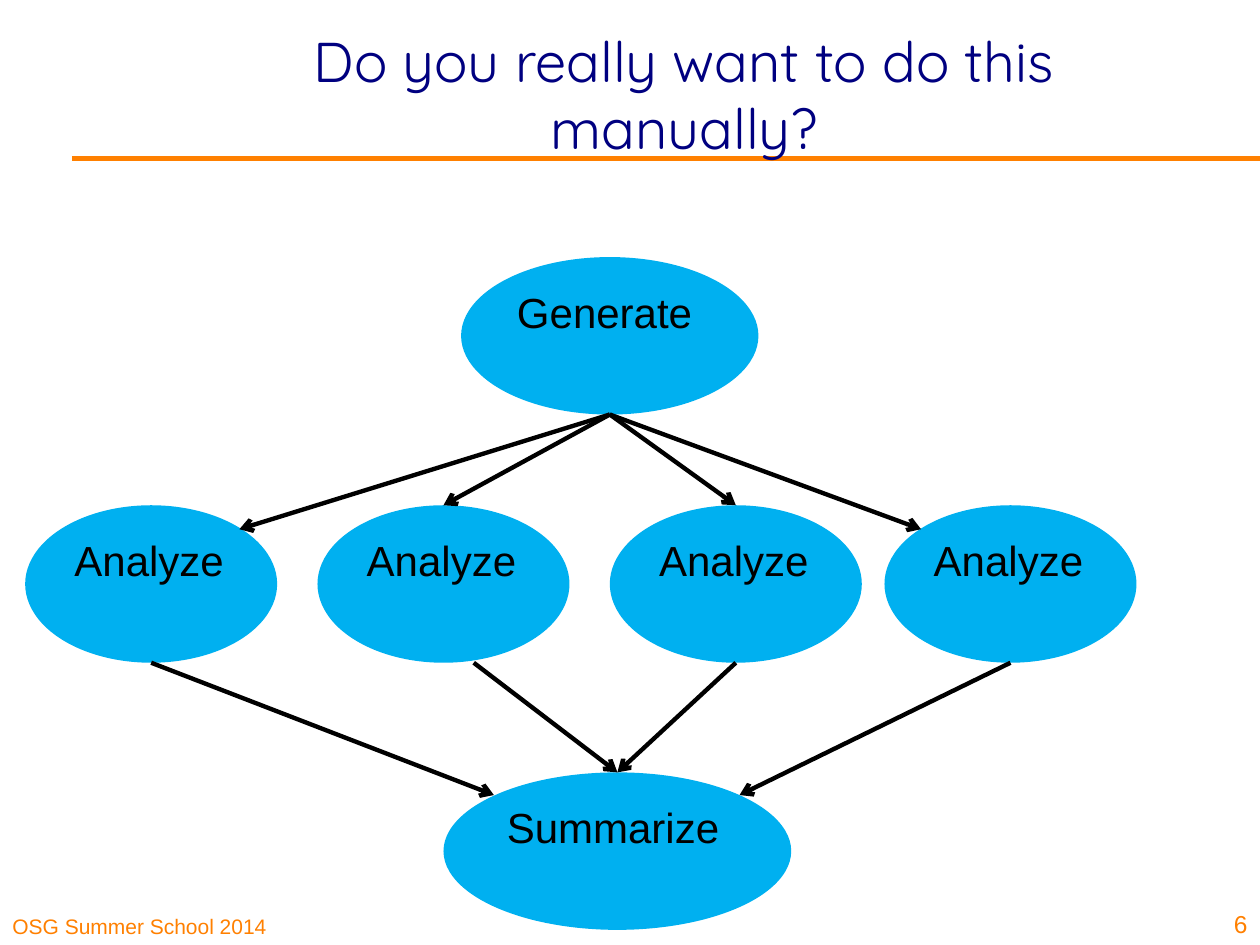
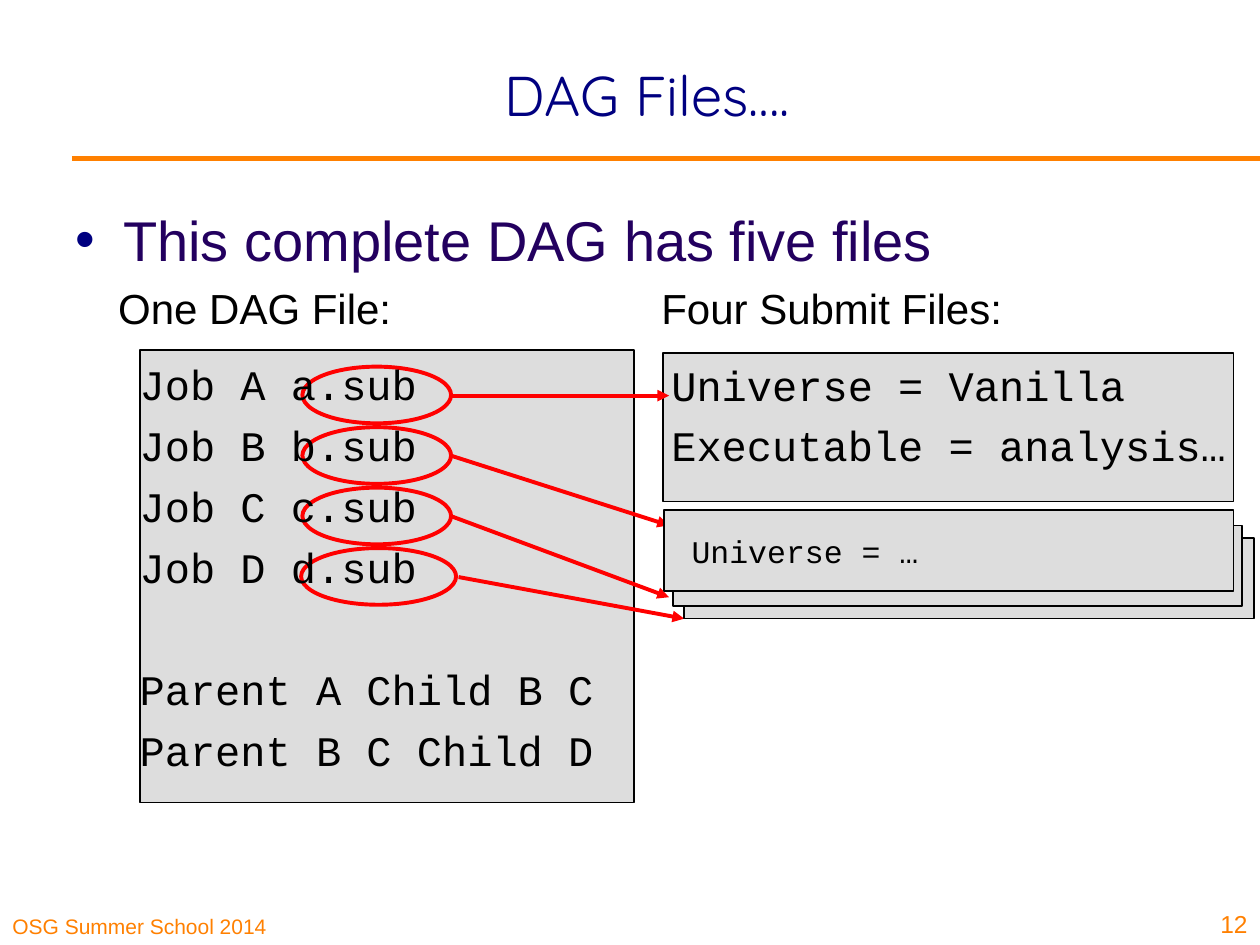
from lxml.etree import SubElement
from pptx import Presentation
from pptx.dml.color import RGBColor
from pptx.enum.shapes import MSO_CONNECTOR, MSO_SHAPE
from pptx.enum.text import MSO_ANCHOR, PP_ALIGN
from pptx.oxml.ns import qn
from pptx.util import Inches, Pt

NAVY = RGBColor(0x00, 0x00, 0x80)
INDIGO = RGBColor(0x23, 0x00, 0x5F)
ORANGE = RGBColor(0xFF, 0x80, 0x00)
SKY = RGBColor(0x00, 0xB0, 0xF0)
GREY = RGBColor(0xDD, 0xDD, 0xDD)
RED = RGBColor(0xFF, 0x00, 0x00)
BLACK = RGBColor(0x00, 0x00, 0x00)

TITLE = {"name": "Quicksand", "size": Pt(32)}
BULLET = {"name": "Arial", "size": Pt(32)}
LABEL = {"name": "Arial", "size": Pt(24)}
CODE = {"name": "Courier New", "size": Pt(24)}
SMALL_CODE = {"name": "Courier New", "size": Pt(18)}
FOOTER = {"name": "Arial", "size": Pt(12)}
NUMBER = {"name": "Arial", "size": Pt(14)}


def write(shape, lines, style, color=BLACK, align=PP_ALIGN.LEFT, anchor=MSO_ANCHOR.TOP):
    frame = shape.text_frame
    frame.word_wrap = True
    frame.vertical_anchor = anchor
    frame.text = "\n".join(lines)
    for index, paragraph in enumerate(frame.paragraphs):
        paragraph.alignment = align
        if index:
            paragraph.space_before = Pt(6)
        for run in paragraph.runs:
            for key, value in style.items():
                setattr(run.font, key, value)
            run.font.color.rgb = color
    return frame.paragraphs


def draw_line(slide, start, end, color, width, head=None):
    line = slide.shapes.add_connector(
        MSO_CONNECTOR.STRAIGHT, *[Inches(v) for v in (*start, *end)])
    line.line.color.rgb = color
    line.line.width = Pt(width)
    if head:
        SubElement(line.line._get_or_add_ln(), qn("a:tailEnd"), type=head)
    SubElement(line._element.spPr, qn("a:effectLst"))
    return line


deck = Presentation()
deck.slide_width = Inches(10)
deck.slide_height = Inches(7.5)

slides = []
for title, title_width, number in [
    ("Do you really want to do this manually?", 8.18, "6"),
    ("DAG Files….", 7.6, "12"),
]:
    slide = deck.slides.add_slide(deck.slide_layouts[6])
    slides.append(slide)
    footer = slide.shapes.add_textbox(Inches(0), Inches(7.08), Inches(2.48), Inches(0.42))
    write(footer, ["OSG Summer School 2014"], FOOTER, ORANGE, anchor=MSO_ANCHOR.BOTTOM)
    draw_line(slide, (0.57, 1.26), (10, 1.26), ORANGE, 3)
    heading = slide.shapes.add_textbox(
        Inches(1.34), Inches(0.12), Inches(title_width), Inches(1.25))
    write(heading, [title], TITLE, NAVY, PP_ALIGN.CENTER, MSO_ANCHOR.MIDDLE)
    page_number = slide.shapes.add_textbox(Inches(9.54), Inches(7), Inches(0.46), Inches(0.5))
    write(page_number, [number], NUMBER, ORANGE, PP_ALIGN.RIGHT, MSO_ANCHOR.BOTTOM)

workflow, dag_files = slides

steps = []
for name, left, top, width in [
    ("Generate", 3.66, 2.04, 2.36),
    ("Analyze", 0.2, 4.01, 2),
    ("Analyze", 2.52, 4.01, 2),
    ("Analyze", 4.84, 4.01, 2),
    ("Analyze", 7.02, 4.01, 2),
    ("Summarize", 3.52, 6.13, 2.76),
]:
    step = workflow.shapes.add_shape(
        MSO_SHAPE.OVAL, Inches(left), Inches(top), Inches(width), Inches(1.25))
    step.shadow.inherit = False
    step.fill.solid()
    step.fill.fore_color.rgb = SKY
    step.line.fill.background()
    write(step, [name], LABEL)
    steps.append(step)

generate, first, second, third, fourth, summarize = steps
for start, end, target in [
    ((4.84, 3.29), (1.9, 4.2), None),
    ((4.84, 3.29), (3.52, 4.01), second),
    ((4.84, 3.29), (5.84, 4.01), third),
    ((4.84, 3.29), (7.31, 4.2), None),
    ((1.2, 5.26), (3.92, 6.31), None),
    ((3.76, 5.26), (4.9, 6.13), summarize),
    ((5.84, 5.26), (4.9, 6.13), summarize),
    ((8.02, 5.26), (5.87, 6.31), None),
]:
    dependency = draw_line(workflow, start, end, BLACK, 2.5, "arrow")
    if target:
        dependency.end_connect(target, 0)

file_panels = [
    (5.26, 2.8, 4.53, 1.18),
    (1.11, 2.78, 3.92, 3.59),
]
stacked_panels = [
    (5.43, 4.27, 4.52, 0.64),
    (5.34, 4.17, 4.52, 0.64),
    (5.27, 4.05, 4.52, 0.64),
]
job_ovals = [
    (2.4, 1.18, 3.59, (5.31, 3.14)),
    (2.4, 1.18, 3.59, (5.31, 4.17)),
    (2.4, 1.18, 3.59, (5.31, 4.74)),
    (2.39, 1.23, 3.64, (5.43, 4.91)),
]

for panel_index, place in enumerate(file_panels + stacked_panels):
    if panel_index == len(file_panels):
        for job, (left, width, arrow_left, arrow_end) in enumerate(job_ovals):
            top = 2.91 + 0.48 * job
            job_oval = dag_files.shapes.add_shape(
                MSO_SHAPE.OVAL, Inches(left), Inches(top), Inches(width), Inches(0.45))
            job_oval.shadow.inherit = False
            job_oval.fill.background()
            job_oval.line.color.rgb = RED
            job_oval.line.width = Pt(2.25)
            draw_line(dag_files, (arrow_left, top + 0.23), arrow_end, RED, 2.25, "triangle")
    panel = dag_files.shapes.add_shape(MSO_SHAPE.RECTANGLE, *[Inches(v) for v in place])
    panel.shadow.inherit = False
    panel.fill.solid()
    panel.fill.fore_color.rgb = GREY
    panel.line.color.rgb = BLACK
    panel.line.width = Pt(1)

summary = dag_files.shapes.add_textbox(Inches(0.5), Inches(1.58), Inches(9), Inches(0.68))
bullet_line = write(summary, ["This complete DAG has five files"], BULLET, INDIGO)[0]
bullet_format = bullet_line._p.get_or_add_pPr()
bullet_format.set("marL", str(Inches(0.38)))
bullet_format.set("indent", str(-Inches(0.38)))
bullet_color = SubElement(bullet_format, qn("a:buClr"))
SubElement(bullet_color, qn("a:srgbClr"), val=str(NAVY))
SubElement(bullet_format, qn("a:buFont"), typeface="Arial")
SubElement(bullet_format, qn("a:buChar"), char="•")

dag_lines = [
    "Job A a.sub", "Job B b.sub", "Job C c.sub", "Job D d.sub",
    "Parent A Child B C", "Parent B C Child D",
]
texts = []
for lines, style, left, top, width, height in [
    (["One DAG File:"], LABEL, 0.84, 2.19, 2.5, 0.5),
    (["Four Submit Files:"], LABEL, 5.15, 2.19, 3.05, 0.5),
    (dag_lines, CODE, 1.01, 2.8, 3.9, 3.4),
    (["Universe = Vanilla", "Executable = analysis…"], CODE, 5.23, 2.8, 4.7, 0.99),
    (["Universe = …"], SMALL_CODE, 5.39, 4.17, 2.1, 0.4),
]:
    box = dag_files.shapes.add_textbox(
        Inches(left), Inches(top), Inches(width), Inches(height))
    texts.append(write(box, lines, style))
parent_line = texts[2][4]
parent_line.space_before = Pt(40.75)

deck.save("out.pptx")
